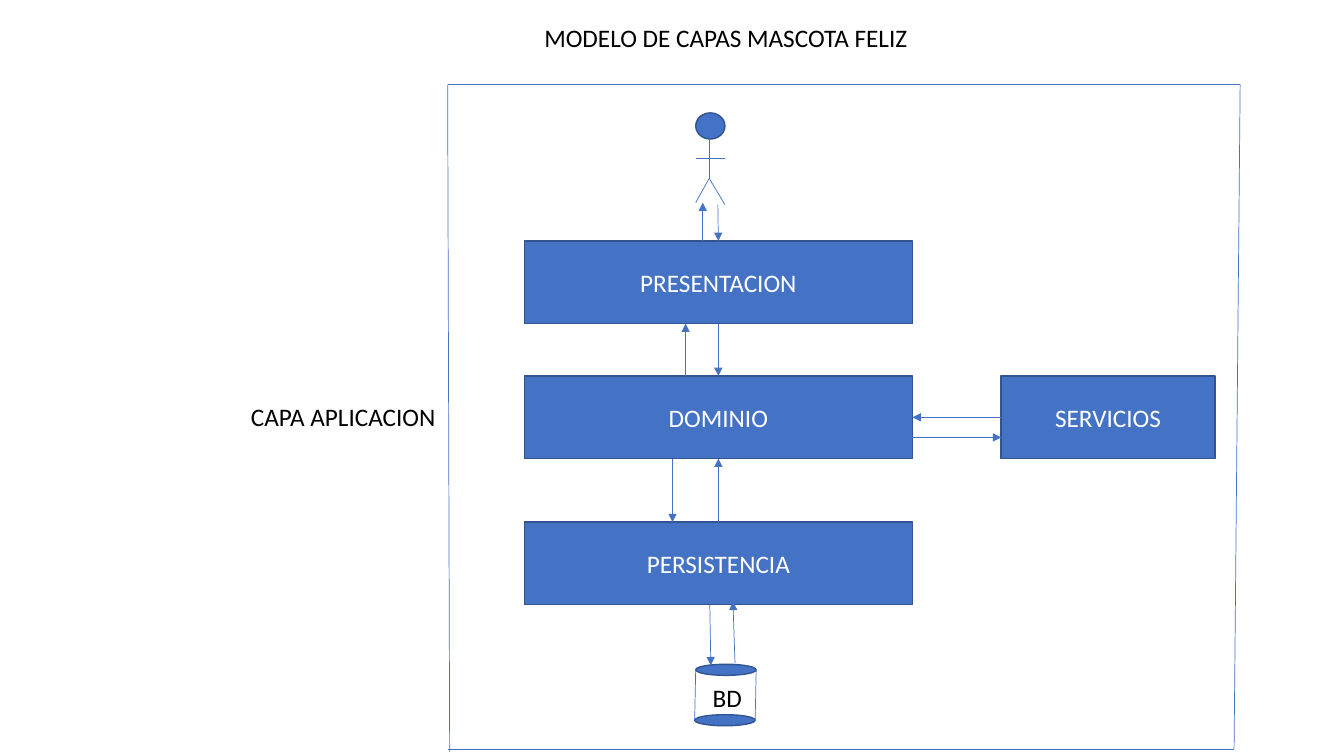
from lxml.etree import SubElement
from pptx import Presentation
from pptx.dml.color import RGBColor
from pptx.enum.shapes import MSO_CONNECTOR, MSO_SHAPE
from pptx.enum.text import MSO_ANCHOR, MSO_AUTO_SIZE, PP_ALIGN
from pptx.oxml.ns import qn
from pptx.util import Inches, Pt

TOP, LEFT, BOTTOM, RIGHT = range(4)


def tint(code):
    """Turn a hex string into a colour."""
    return RGBColor.from_string(code)


def cell(count):
    """Turn grid columns or rows, ten to the inch, into a length."""
    return Inches(count / 10)


class Board:
    """Draw styled elements on one slide."""

    fill, edge, wire = "4472C4", "325491", "4472C4"
    light, dark = "FFFFFF", "000000"
    face, size = "Calibri", 18

    def __init__(self, slide):
        """Keep the slide's shapes."""
        self.shapes = slide.shapes

    def letter(self, frame, text, color, align):
        """Put one styled paragraph in a frame."""
        frame.text = text
        para = frame.paragraphs[0]
        para.alignment = align
        para.font.name = self.face
        para.font.size = Pt(self.size)
        para.font.color.rgb = tint(color)

    def solid(self, kind, x, y, w, h):
        """Add a filled and outlined shape."""
        shape = self.shapes.add_shape(kind, cell(x), cell(y), cell(w), cell(h))
        shape.shadow.inherit = False
        shape.fill.solid()
        shape.fill.fore_color.rgb = tint(self.fill)
        shape.line.color.rgb = tint(self.edge)
        shape.line.width = Pt(1)
        return shape

    def oval(self, x, y, w, h):
        """Add an ellipse."""
        return self.solid(MSO_SHAPE.OVAL, x, y, w, h)

    def layer(self, text, x, y, w, h=8.2):
        """Add a rectangle with a centred name."""
        shape = self.solid(MSO_SHAPE.RECTANGLE, x, y, w, h)
        shape.text_frame.vertical_anchor = MSO_ANCHOR.MIDDLE
        self.letter(shape.text_frame, text, self.light, PP_ALIGN.CENTER)
        return shape

    def label(self, text, x, y, w, h=4):
        """Add free text on one line."""
        frame = self.shapes.add_textbox(cell(x), cell(y), cell(w), cell(h)).text_frame
        frame.word_wrap = False
        frame.auto_size = MSO_AUTO_SIZE.SHAPE_TO_FIT_TEXT
        self.letter(frame, text, self.dark, PP_ALIGN.LEFT)

    def line(self, start, end):
        """Add a thin straight line."""
        ends = [cell(value) for value in (*start, *end)]
        link = self.shapes.add_connector(MSO_CONNECTOR.STRAIGHT, *ends)
        link.line.color.rgb = tint(self.wire)
        link.line.width = Pt(0.5)
        SubElement(link._element.spPr, qn("a:effectLst"))
        return link

    def arrow(self, start, end, source=None, target=None):
        """Add an arrow, joined to a shape's side where one is given."""
        link = self.line(start, end)
        SubElement(link._element.spPr.find(qn("a:ln")), qn("a:tailEnd"), type="triangle")
        if source:
            link.begin_connect(*source)
        if target:
            link.end_connect(*target)


def main():
    """Build and save the layer model."""
    deck = Presentation()
    deck.slide_width, deck.slide_height = Inches(13.33), Inches(7.5)
    board = Board(deck.slides.add_slide(deck.slide_layouts[6]))

    left, wide, tall = 52, 38.5, 8.2
    mid, right = left + wide / 2, left + wide
    view_y, core_y, store_y = 23.9, 37.3, 51.8
    side = 99.3
    view = board.layer("PRESENTACION", left, view_y, wide)
    core = board.layer("DOMINIO", left, core_y, wide)
    store = board.layer("PERSISTENCIA", left, store_y, wide)
    serve = board.layer("SERVICIOS", side, core_y, 21.2)

    neck, hip = 70.4, 17.8
    board.oval(69, 11.2, 2.9, 2.6)
    for start, end in (
        ((neck, 13.8), (neck, hip)),
        ((69, 15.7), (71.9, 15.7)),
        ((neck, 17.6), (69, 20.1)),
        ((neck, hip), (71.9, 20.3)),
    ):
        board.line(start, end)

    for x, y in ((69, 65.9), (68.9, 70.9)):
        board.oval(x, y, 6, 1.1)
    for x in (69, 75):
        board.line((x, 66.4), (x - 0.1, 71.5))

    for start, end in (
        ((44.4, 8.4), (123, 8.4)),
        ((44.4, 8.4), (44.6, 74.6)),
        ((123, 8.4), (122.4, 74.3)),
        ((44.4, 74.3), (122.4, 74.3)),
    ):
        board.line(start, end)

    board.label("BD", 69.7, 67.2, 4.9)
    board.label("CAPA APLICACION", 23.9, 39.3, 20.5)
    board.label("MODELO DE CAPAS MASCOTA FELIZ", 53, 1.7, 38.4)

    core_mid = core_y + tall / 2
    view_end, core_end, store_end = (y + tall for y in (view_y, core_y, store_y))
    for link in (
        ((71.2, 20.3), (mid, view_y), None, (view, TOP)),
        ((mid, view_end), (mid, core_y), (view, BOTTOM), (core, TOP)),
        ((mid, store_y), (mid, core_end), (store, TOP), (core, BOTTOM)),
        ((side, core_mid), (right, core_mid), (serve, LEFT), (core, RIGHT)),
        ((69.7, view_y), (69.7, 20.1)),
        ((68, core_y), (68, view_end)),
        ((66.7, core_end), (66.7, store_y)),
        ((right, core_mid + 2), (side, core_mid + 2)),
        ((70.4, store_end), (70.5, 66)),
        ((72.9, 65.8), (72.7, 59.7)),
    ):
        board.arrow(*link)

    deck.save("out.pptx")


if __name__ == "__main__":
    main()
